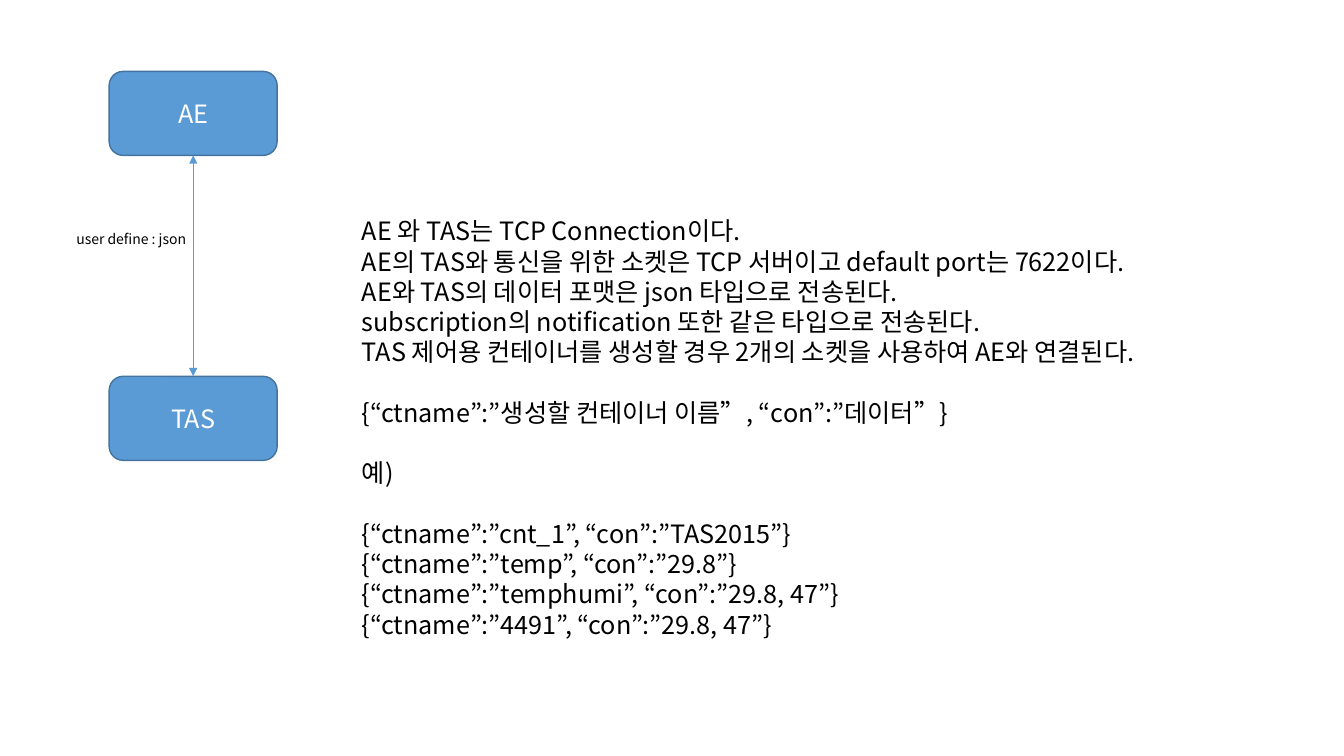
from pptx import Presentation, util as u
from pptx.dml.color import RGBColor
from pptx.enum import shapes, text
from pptx.oxml.ns import qn
from lxml import etree

HUES = {"fill": "5B9BD5", "edge": "43739E", "ink": "000000", "pale": "FFFFFF"}
FONT = "Noto Sans CJK KR"
COLS, ROWS = 16, 9
LEAD = 21.6

NOTES = [
    ["AE 와 TAS는 TCP Connection이다.",
     "AE의 TAS와 통신을 위한 소켓은 TCP 서버이고 default port는 7622이다.",
     "AE와 TAS의 데이터 포맷은 json 타입으로 전송된다.",
     "subscription의 notification 또한 같은 타입으로 전송된다.",
     "TAS 제어용 컨테이너를 생성할 경우 2개의 소켓을 사용하여 AE와 연결된다."],
    ["{“ctname”:”생성할 컨테이너 이름”, “con”:”데이터”}"],
    ["예)"],
    ["{“ctname”:”cnt_1”, “con”:”TAS2015”}",
     "{“ctname”:”temp”, “con”:”29.8”}",
     "{“ctname”:”temphumi”, “con”:”29.8, 47”}",
     "{“ctname”:”4491”, “con”:”29.8, 47”}"],
]


class Board:
    """Draws styled elements on one slide, placed by grid columns and rows."""

    def __init__(self):
        self.deck = Presentation()
        self.deck.slide_width = u.Inches(13.33)
        self.deck.slide_height = u.Inches(7.5)
        self.slide = self.deck.slides.add_slide(self.deck.slide_layouts[6])

    def grid(self, *spots):
        wide, high = self.deck.slide_width / COLS, self.deck.slide_height / ROWS
        return [round(n * (high if i % 2 else wide)) for i, n in enumerate(spots)]

    def hue(self, name):
        return RGBColor.from_string(HUES[name])

    def put(self, para, words, size, hue):
        run = para.add_run()
        run.text = words
        run.font.size = u.Pt(size)
        run.font.name = FONT
        run.font.color.rgb = self.hue(hue)
        etree.SubElement(run.font._element, qn("a:ea"), typeface=FONT)

    def box(self, words, *spots):
        box = self.slide.shapes.add_shape(
            shapes.MSO_SHAPE.ROUNDED_RECTANGLE, *self.grid(*spots))
        box.shadow.inherit = False
        box.fill.solid()
        box.fill.fore_color.rgb = self.hue("fill")
        box.line.color.rgb = self.hue("edge")
        box.line.width = u.Pt(1)
        frame = box.text_frame
        frame.vertical_anchor = text.MSO_ANCHOR.MIDDLE
        para = frame.paragraphs[0]
        para.alignment = text.PP_ALIGN.CENTER
        self.put(para, words, 18, "pale")

    def note(self, blocks, size, *spots):
        frame = self.slide.shapes.add_textbox(*self.grid(*spots)).text_frame
        frame.word_wrap = False
        frame.auto_size = text.MSO_AUTO_SIZE.SHAPE_TO_FIT_TEXT
        para = frame.paragraphs[0]
        for i, block in enumerate(blocks):
            for j, line in enumerate(block):
                if i or j:
                    para = frame.add_paragraph()
                if i and not j:
                    para.space_before = u.Pt(LEAD)
                self.put(para, line, size, "ink")

    def link(self, *spots):
        link = self.slide.shapes.add_connector(
            shapes.MSO_CONNECTOR.STRAIGHT, *self.grid(*spots))
        link.line.color.rgb = self.hue("fill")
        link.line.width = u.Pt(0.5)
        for end in ("a:headEnd", "a:tailEnd"):
            etree.SubElement(link.line._ln, qn(end), type="triangle")
        etree.SubElement(link._element.spPr, qn("a:effectLst"))


def main():
    board = Board()
    left, wide, high = 1.3, 2, 1
    top, low = 0.85, 4.48
    mid = left + wide / 2
    board.box("AE", left, top, wide, high)
    board.note(NOTES, 18, 4.19, 2.51, 10.42, 5.21)
    board.box("TAS", left, low, wide, high)
    board.link(mid, low, mid, top + high)
    board.note([["user define : json"]], 10, 0.79, 2.69, 1.56, 0.32)
    board.deck.save("out.pptx")


if __name__ == "__main__":
    main()
